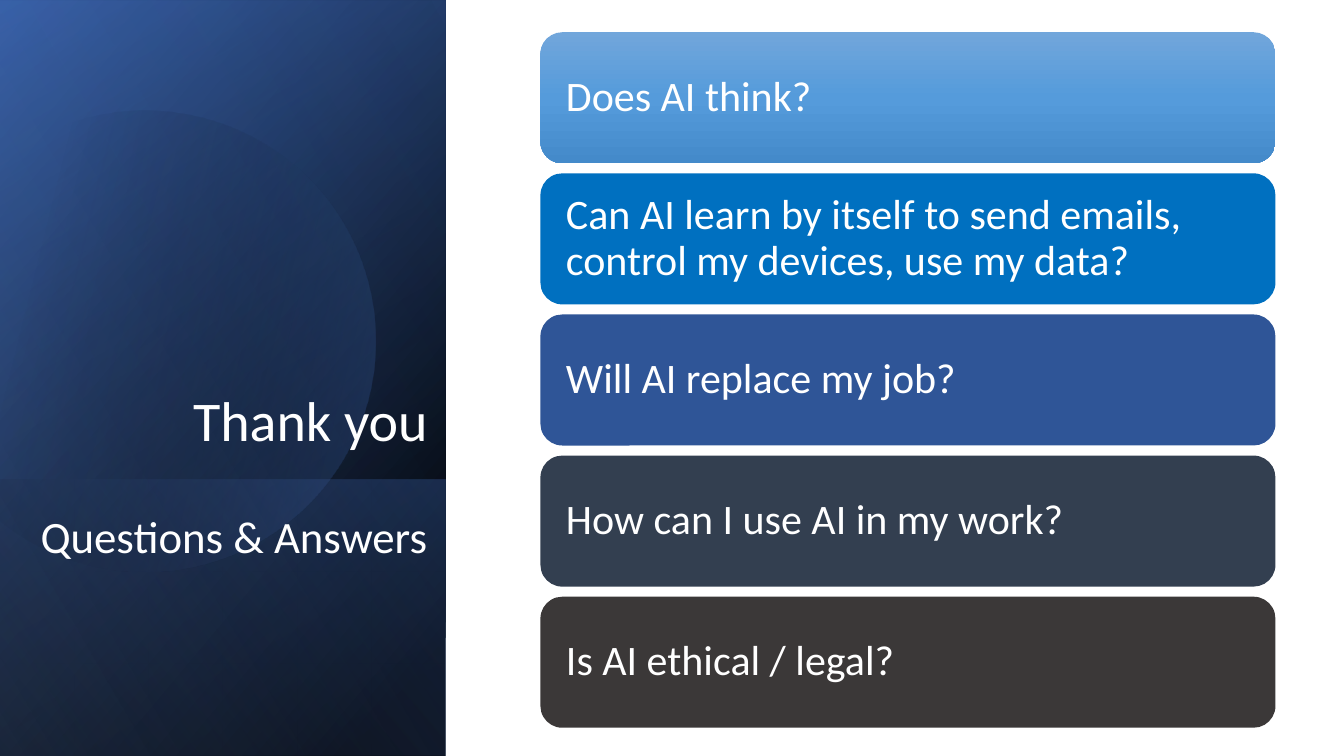
from dataclasses import dataclass
from math import cos, radians, sin

from lxml.etree import SubElement
from pptx import Presentation
from pptx.dml.color import RGBColor
from pptx.enum.shapes import MSO_SHAPE as Shape
from pptx.enum.text import MSO_ANCHOR as Anchor, PP_ALIGN as Align
from pptx.oxml.ns import qn
from pptx.shapes.autoshape import Shape as AutoShape
from pptx.slide import Slide
from pptx.text.text import _Paragraph as Paragraph
from pptx.util import Inches, Pt


@dataclass(frozen=True)
class Theme:
    font: str = "Calibri"
    white: str = "FFFFFF"
    black: str = "000000"
    navy: str = "2F5597"
    blue: str = "4472C4"
    pale_blue: str = "8FAADC"
    bright_blue: str = "0070C0"
    slate: str = "333F50"
    charcoal: str = "3B3838"
    sky: tuple[str, str, str] = ("71A6DB", "559BDB", "448ACA")
    thanks_size: int = 40
    subtitle_size: int = 32
    question_size: int = 30
    line_spacing: float = 0.9


@dataclass(frozen=True)
class Stop:
    position: int
    color: str
    opacity: int = 100


@dataclass(frozen=True)
class Gradient:
    angle: int
    stops: tuple[Stop, ...]


@dataclass(frozen=True)
class Panel:
    left: float
    top: float
    width: float
    gradient: Gradient


@dataclass(frozen=True)
class Question:
    text: str
    fill: str | Gradient


THEME = Theme()
PANEL_DEPTH = 4.42
CARD_LEFT, CARD_TOP, CARD_WIDTH, CARD_HEIGHT, CARD_STEP = 5.36, 0.32, 7.29, 1.3, 1.4
DISC_X, DISC_Y, DISC_RADIUS, DISC_TILT, DISC_SWEEP = 1.43, 3.34, 2.29, 16.1, 133.6

BACK_PANELS = (
    Panel(-1.54, 1.54, 7.5, Gradient(50, (Stop(8, THEME.black), Stop(100, THEME.navy)))),
    Panel(-1.54, 1.55, 7.5, Gradient(30, (Stop(0, THEME.black, 0), Stop(99, THEME.blue, 46)))),
    Panel(0.84, 3.92, 2.74, Gradient(130, (Stop(2, THEME.blue, 29), Stop(100, THEME.black, 30)))),
)
DISC_GRADIENT = Gradient(30, (Stop(29, THEME.black, 0), Stop(100, THEME.blue, 43)))
SHEEN = Panel(-1.54, 1.54, 7.5,
              Gradient(120, (Stop(0, THEME.black, 0), Stop(99, THEME.pale_blue, 11))))

QUESTIONS = (
    Question("Does AI think?",
             Gradient(90, tuple(Stop(50 * i, color) for i, color in enumerate(THEME.sky)))),
    Question("Can AI learn by itself to send emails, control my devices, use my data?",
             THEME.bright_blue),
    Question("Will AI replace my job?", THEME.navy),
    Question("How can I use AI in my work?", THEME.slate),
    Question("Is AI ethical / legal?", THEME.charcoal),
)


def paint(shape: AutoShape, fill: str | Gradient) -> None:
    """Fill a shape with a plain colour or a gradient, without line or shadow."""
    shape.shadow.inherit = False
    shape.line.fill.background()
    if isinstance(fill, str):
        shape.fill.solid()
        shape.fill.fore_color.rgb = RGBColor.from_string(fill)
        return
    shape.fill.gradient()
    grad = shape._element.spPr.find(qn("a:gradFill"))
    stop_list = grad.find(qn("a:gsLst"))
    for old_stop in list(stop_list):
        stop_list.remove(old_stop)
    for stop in fill.stops:
        gs = SubElement(stop_list, qn("a:gs"), pos=str(stop.position * 1000))
        color = SubElement(gs, qn("a:srgbClr"), val=stop.color)
        if stop.opacity < 100:
            SubElement(color, qn("a:alpha"), val=str(stop.opacity * 1000))
    lin = grad.find(qn("a:lin"))
    lin.set("ang", str(fill.angle * 60000))
    lin.set("scaled", "0")


def style(paragraph: Paragraph, size: int, align: Align) -> None:
    paragraph.alignment = align
    paragraph.line_spacing = THEME.line_spacing
    for run in paragraph.runs:
        run.font.name = THEME.font
        run.font.size = Pt(size)
        run.font.color.rgb = RGBColor.from_string(THEME.white)


def add_panel(slide: Slide, panel: Panel) -> None:
    shape = slide.shapes.add_shape(Shape.RECTANGLE, Inches(panel.left), Inches(panel.top),
                                   Inches(panel.width), Inches(PANEL_DEPTH))
    shape.rotation = 90
    shape._element.spPr.xfrm.set("flipH", "1")
    paint(shape, panel.gradient)


def add_disc(slide: Slide) -> None:
    """Draw a tilted disc whose left side is cut off by a chord."""
    steps = 120
    angles = [radians(DISC_TILT - DISC_SWEEP + 2 * DISC_SWEEP * i / steps)
              for i in range(steps + 1)]
    points = [(Inches(DISC_X + DISC_RADIUS * cos(a)), Inches(DISC_Y + DISC_RADIUS * sin(a)))
              for a in angles]
    builder = slide.shapes.build_freeform(*points[0])
    builder.add_line_segments(points[1:], close=True)
    disc = builder.convert_to_shape()
    disc.rotation = 360 - DISC_TILT
    paint(disc, DISC_GRADIENT)


def add_title(slide: Slide) -> None:
    frame = slide.shapes.add_textbox(Inches(0.1), Inches(3.02),
                                     Inches(4.24), Inches(2.62)).text_frame
    frame.word_wrap = True
    frame.vertical_anchor = Anchor.BOTTOM
    frame.text = "Thank you\nQuestions & Answers"
    thanks, subtitle = frame.paragraphs
    style(thanks, THEME.thanks_size, Align.RIGHT)
    style(subtitle, THEME.subtitle_size, Align.RIGHT)
    subtitle.space_before = Pt(44)


def add_question(slide: Slide, question: Question, top: float) -> None:
    card = slide.shapes.add_shape(Shape.ROUNDED_RECTANGLE, Inches(CARD_LEFT), Inches(top),
                                  Inches(CARD_WIDTH), Inches(CARD_HEIGHT))
    paint(card, question.fill)
    frame = card.text_frame
    frame.word_wrap = True
    frame.vertical_anchor = Anchor.MIDDLE
    frame.margin_left = frame.margin_right = Inches(0.19)
    frame.text = question.text
    style(frame.paragraphs[0], THEME.question_size, Align.LEFT)


def main() -> None:
    deck = Presentation()
    deck.slide_width, deck.slide_height = Inches(13.33), Inches(7.5)
    slide = deck.slides.add_slide(deck.slide_layouts[6])

    # Layered backdrop on the left
    for panel in BACK_PANELS:
        add_panel(slide, panel)
    add_disc(slide)
    add_panel(slide, SHEEN)

    # Closing title
    add_title(slide)

    # Question cards
    for row, question in enumerate(QUESTIONS):
        add_question(slide, question, CARD_TOP + row * CARD_STEP)

    deck.save("out.pptx")


if __name__ == "__main__":
    main()
